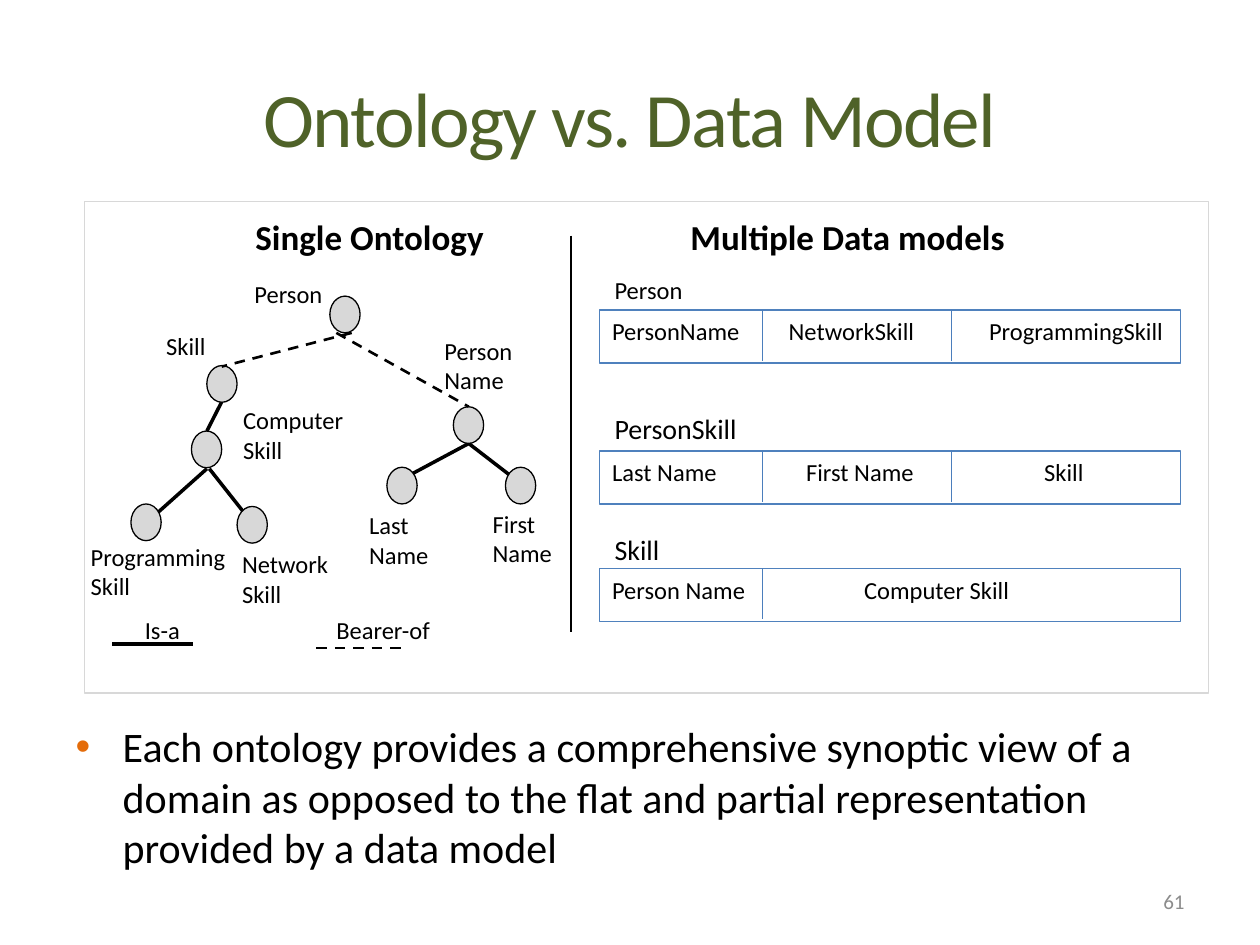
from lxml import etree
from pptx import Presentation
from pptx.dml.color import RGBColor
from pptx.enum import dml, shapes, text
from pptx.oxml import ns
from pptx.util import Cm, Pt

BLACK, WHITE, GREY, BLUE = "000000", "FFFFFF", "D8D8D8", "4F81BD"
HEADINGS = [
    ("Single Ontology", (4.9, 4.22, 5.84, 1.83)),
    ("Multiple Data models", (13.67, 4.22, 9.88, 1.47)),
]
LABELS = [
    ("Computer Skill", (4.65, 8.05, 3.35, 2.26), 0.25),
    ("Person", (4.88, 5.51, 3.18, 1.32), 0.25),
    ("Person Name", (8.71, 6.65, 2.82, 2.29), 0.25),
    ("First Name", (9.68, 10.13, 2.39, 2.26), 0.25),
    ("Last Name", (7.19, 10.16, 2.29, 2.26), 0.25),
    ("Skill", (3.1, 6.55, 2.18, 1.7), 0.25),
    ("Programming\nSkill", (1.83, 10.8, 3.43, 1.68), 0),
    ("Network\nSkill", (4.88, 10.95, 2.36, 1.35), 0),
    ("Is-a", (2.67, 12.27, 1.8, 1.2), 0.25),
    ("Bearer-of", (6.53, 12.27, 3, 1.2), 0.25),
]
NODES = [
    (6.65, 5.97), (9.14, 8.2), (10.19, 9.42), (7.8, 9.42),
    (2.64, 10.16), (3.86, 8.69), (4.17, 7.37), (4.78, 10.21),
]
IS_A = [
    (9.45, 8.94, 10.54, 9.78), (9.45, 8.94, 8.31, 9.55),
    (4.17, 9.45, 3.15, 10.36), (4.22, 9.45, 4.9, 10.31),
    (4.47, 8.1, 4.17, 8.69), (2.26, 12.98, 3.89, 12.98),
]
BEARER_OF = [
    (6.78, 6.71, 9.45, 8.2), (7.09, 6.71, 4.47, 7.39),
    (6.38, 13.06, 8.15, 13.06),
]
RECORDS = [
    ("Person", 14, 5.41, 6.25, "PersonName\tNetworkSkill\tProgrammingSkill", (3.56, 7.6)),
    ("PersonSkill", 16, 8.18, 9.09, "Last Name\tFirst Name\tSkill", (3.91, 8.71)),
    ("Skill", 16, 10.62, 11.46, "Person Name\tComputer Skill", (5.08,)),
]
COLUMN_EDGES = (15.37, 19.18)


def color(value):
    return RGBColor.from_string(value)


def set_attributes(target, values):
    for name, value in values.items():
        setattr(target, name, value)


def place(shape, box):
    set_attributes(shape, dict(zip(("left", "top", "width", "height"), map(Cm, box))))


def format_paragraph(paragraph, size, ink=BLACK, bold=False, align=text.PP_ALIGN.LEFT):
    set_attributes(paragraph, {"alignment": align, "space_before": Pt(0)})
    set_attributes(paragraph.font, {"name": "Calibri", "size": Pt(size), "bold": bold})
    paragraph.font.color.rgb = color(ink)


def add_element(parent, tag, **attributes):
    element = etree.SubElement(parent, ns.qn(tag))
    for name, value in attributes.items():
        element.set(name, value)
    return element


def add_box(slide, box, kind=shapes.MSO_SHAPE.RECTANGLE, fill=None, line=None):
    shape = slide.shapes.add_shape(kind, *map(Cm, box))
    shape.shadow.inherit = False
    if fill:
        shape.fill.solid()
        shape.fill.fore_color.rgb = color(fill)
    else:
        shape.fill.background()
    if line:
        shape.line.color.rgb = color(line)
        shape.line.width = Pt(0.75)
    else:
        shape.line.fill.background()
    return shape


def write(shape, content, size, inset=0.25, tabs=(), **style):
    frame = shape.text_frame
    set_attributes(frame, {
        "word_wrap": True, "vertical_anchor": text.MSO_ANCHOR.TOP, "margin_left": Cm(inset),
    })
    frame.text = content
    for paragraph in frame.paragraphs:
        if tabs:
            tab_list = add_element(paragraph._p.get_or_add_pPr(), "a:tabLst")
            for position in tabs:
                add_element(tab_list, "a:tab", pos=str(Cm(position)), algn="l")
        format_paragraph(paragraph, size, **style)


def add_line(slide, ends, width=0.75, ink=BLACK, dashed=False):
    connector = slide.shapes.add_connector(shapes.MSO_CONNECTOR.STRAIGHT, *map(Cm, ends))
    connector.line.color.rgb = color(ink)
    connector.line.width = Pt(width)
    if dashed:
        connector.line.dash_style = dml.MSO_LINE.DASH
    add_element(connector._element.spPr, "a:effectLst")


def add_record(slide, caption, caption_size, caption_top, top, fields, tabs):
    write(add_box(slide, (12.14, caption_top, 3.63, 1.32)), caption, caption_size)
    record = add_box(slide, (12.09, top, 11.71, 1.07), line=BLUE)
    write(record, fields, 14, tabs=tabs)
    for edge in COLUMN_EDGES[:len(tabs)]:
        add_line(slide, (edge, top, edge, top + 1.02), ink="4B7EBC")


def fill_title(title):
    place(title, (1.27, 0.76, 22.86, 3.18))
    title.text_frame.text = "Ontology vs. Data Model"
    title.text_frame.vertical_anchor = text.MSO_ANCHOR.MIDDLE
    paragraph = title.text_frame.paragraphs[0]
    format_paragraph(paragraph, 44, "4F6228", align=text.PP_ALIGN.CENTER)
    paragraph.runs[0]._r.get_or_add_rPr().set("spc", "-100")


def fill_body(body):
    place(body, (1.27, 14.4, 22.86, 3.61))
    frame = body.text_frame
    frame.text = (
        "Each ontology provides a comprehensive synoptic view of a domain as opposed to "
        "the flat and partial representation provided by a data model"
    )
    frame.auto_size = text.MSO_AUTO_SIZE.NONE
    paragraph = frame.paragraphs[0]
    properties = paragraph._p.get_or_add_pPr()
    properties.set("marL", str(Cm(0.95)))
    properties.set("indent", str(Cm(-0.95)))
    add_element(add_element(properties, "a:buClr"), "a:srgbClr", val="E46C0A")
    add_element(properties, "a:buFont", typeface="Arial")
    add_element(properties, "a:buChar", char="•")
    format_paragraph(paragraph, 24)


def add_ontology(slide):
    for content, box, inset in LABELS:
        write(add_box(slide, box, fill=WHITE), content, 14, inset)
    for ends in IS_A:
        add_line(slide, ends, 2)
    for left, top in NODES:
        add_box(slide, (left, top, 0.61, 0.74), shapes.MSO_SHAPE.FLOWCHART_CONNECTOR, GREY, BLACK)
    for ends in BEARER_OF:
        add_line(slide, ends, 1.5, dashed=True)


def main():
    presentation = Presentation()
    set_attributes(presentation, {"slide_width": Cm(25.4), "slide_height": Cm(19.05)})
    slide = presentation.slides.add_slide(presentation.slide_layouts[1])
    fill_title(slide.shapes.title)
    fill_body(slide.placeholders[1])
    add_box(slide, (1.7, 4.06, 22.66, 9.91), line=GREY)
    for content, box in HEADINGS:
        write(add_box(slide, box, fill=WHITE, line=WHITE), content, 20, bold=True)
    add_ontology(slide)
    add_line(slide, (11.51, 4.75, 11.51, 12.75))
    for record in RECORDS:
        add_record(slide, *record)
    number = slide.shapes.add_textbox(*map(Cm, (18.21, 17.65, 5.92, 1.02)))
    write(number, "61", 12, ink="8C8C8C", align=text.PP_ALIGN.RIGHT)
    number.text_frame.vertical_anchor = text.MSO_ANCHOR.MIDDLE
    presentation.save("out.pptx")


if __name__ == "__main__":
    main()
